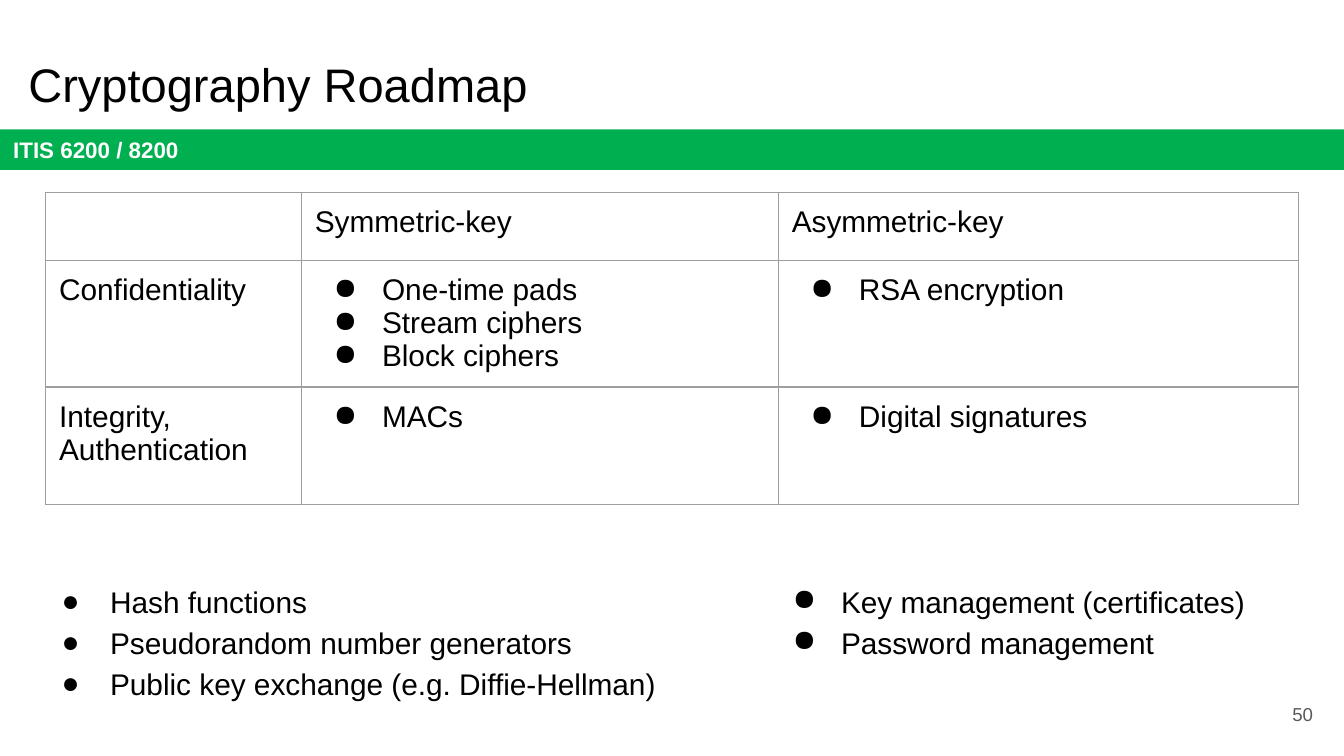
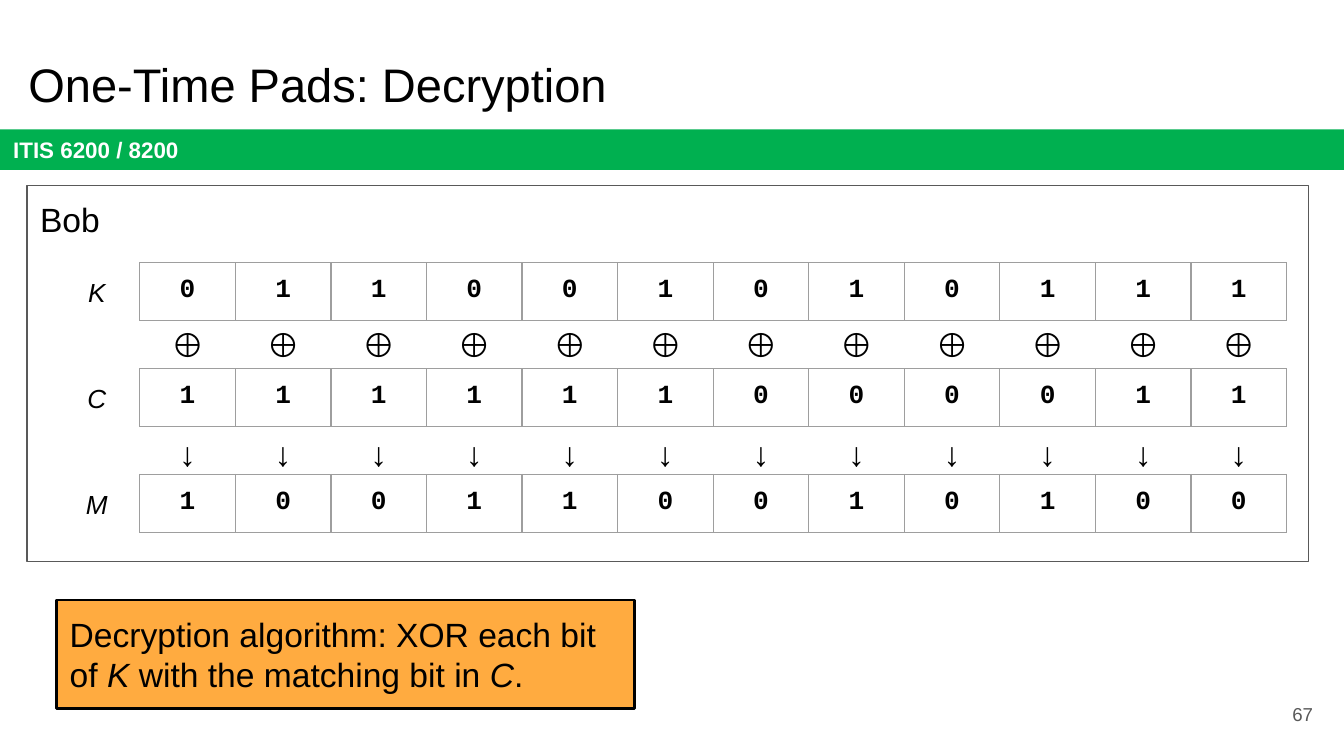
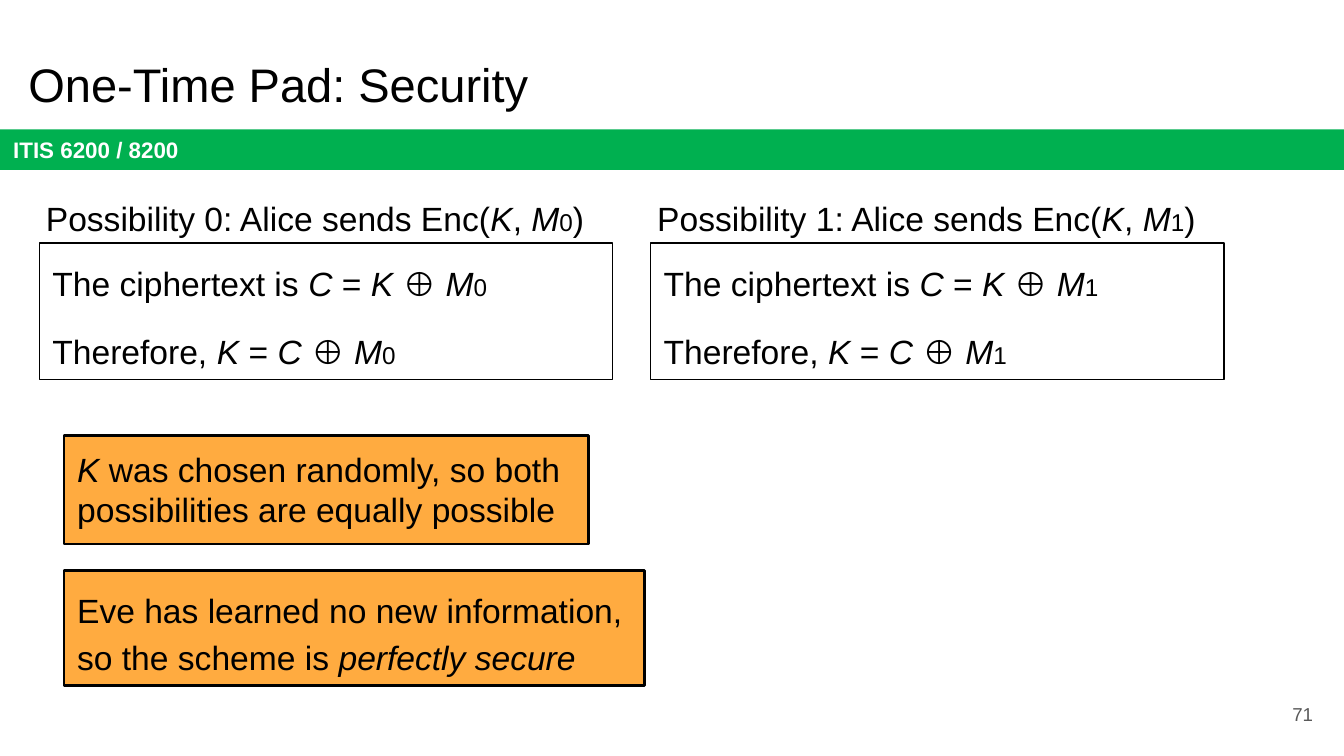
import dataclasses
import lxml.etree
import pptx
import pptx.dml.color
import pptx.enum.shapes
import pptx.enum.text
import pptx.oxml.ns
import pptx.util

Pt = pptx.util.Pt
qn = pptx.oxml.ns.qn
ALIGN = pptx.enum.text.PP_ALIGN
ANCHOR = pptx.enum.text.MSO_ANCHOR
RECT = pptx.enum.shapes.MSO_SHAPE.RECTANGLE
PLAIN_GRID = "{2D5ABB26-0587-4C30-8999-92F81FD0307C}"


@dataclasses.dataclass(frozen=True)
class Theme:
    ink: str = "000000"
    paper: str = "FFFFFF"
    band: str = "00B050"
    note: str = "FFAB40"
    rule: str = "9E9E9E"
    gray: str = "595959"
    sans: str = "Arial"
    mono: str = "Courier New"
    title: float = 25.2
    large: float = 18
    list: float = 16
    bit: float = 14
    sub: float = 13
    head: float = 12
    page: float = 10
    inset: float = 7.2
    loose: float = 1.15


T = Theme()


def rgb(code):
    return pptx.dml.color.RGBColor.from_string(code)


# Text
def add_bullet(para):
    props = para._p.get_or_add_pPr()
    props.set("marL", str(Pt(36)))
    props.set("indent", str(Pt(-26)))
    color = lxml.etree.SubElement(props, qn("a:buClr"))
    lxml.etree.SubElement(color, qn("a:srgbClr"), val=T.ink)
    lxml.etree.SubElement(props, qn("a:buChar"), char="●")


def add_runs(para, text):
    """Parts are split by |; a leading / is italic, a leading _ is small."""
    if "|" not in text:
        para.text = text
        return
    for part in text.split("|"):
        run = para.add_run()
        run.text = part.lstrip("/_")
        if part.startswith("/"):
            run.font.italic = True
        elif part.startswith("_"):
            run.font.size = Pt(T.sub)


def write(frame, lines, size, color=T.ink, font=T.sans, bold=False, italic=False,
          align=ALIGN.LEFT, space=1.0, gap=0, bullet=False):
    for i, line in enumerate(lines):
        para = frame.paragraphs[0] if i == 0 else frame.add_paragraph()
        add_runs(para, line)
        para.alignment = align
        para.line_spacing = space
        para.space_before = Pt(gap if i else 0)
        if bullet:
            add_bullet(para)
        para.font.size = Pt(size)
        para.font.name = font
        para.font.bold = bold
        para.font.italic = italic
        para.font.color.rgb = rgb(color)


def set_frame(frame, anchor=ANCHOR.TOP):
    frame.word_wrap = True
    frame.auto_size = pptx.enum.text.MSO_AUTO_SIZE.NONE
    frame.vertical_anchor = anchor
    frame.margin_left = frame.margin_right = Pt(T.inset)
    frame.margin_top = frame.margin_bottom = Pt(T.inset)


# Shapes
def add_text(slide, box, lines, size, anchor=ANCHOR.TOP, **style):
    shape = slide.shapes.add_textbox(*map(Pt, box))
    set_frame(shape.text_frame, anchor)
    write(shape.text_frame, lines, size, **style)


def add_rect(slide, box, fill=None, line=None, width=0.75):
    shape = slide.shapes.add_shape(RECT, *map(Pt, box))
    shape.shadow.inherit = False
    if fill:
        shape.fill.solid()
        shape.fill.fore_color.rgb = rgb(fill)
    else:
        shape.fill.background()
    if line:
        shape.line.color.rgb = rgb(line)
        shape.line.width = Pt(width)
    else:
        shape.line.fill.background()
    set_frame(shape.text_frame)
    return shape


def add_note(slide, box, text, space=1.0):
    shape = add_rect(slide, box, T.note, T.ink, 1.5)
    write(shape.text_frame, [text], T.large, space=space)


def fill_holder(holder, box, lines, size, anchor=ANCHOR.TOP, **style):
    holder.left, holder.top, holder.width, holder.height = map(Pt, box)
    set_frame(holder.text_frame, anchor)
    write(holder.text_frame, lines, size, **style)


# Tables
def rule_cell(cell):
    props = cell._tc.get_or_add_tcPr()
    for i, side in enumerate(("a:lnL", "a:lnR", "a:lnT", "a:lnB")):
        line = lxml.etree.Element(qn(side), w=str(Pt(0.75)))
        fill = lxml.etree.SubElement(line, qn("a:solidFill"))
        lxml.etree.SubElement(fill, qn("a:srgbClr"), val=T.rule)
        props.insert(i, line)


def add_grid(slide, left, top, cols, rows, cells, ruled=True):
    """Cells hold lists of lines with a style for each."""
    box = (left, top, sum(cols), sum(rows))
    frame = slide.shapes.add_table(len(rows), len(cols), *map(Pt, box))
    for tag in frame._element.iter(qn("a:tableStyleId")):
        tag.text = PLAIN_GRID
    table = frame.table
    table.first_row = table.horz_banding = False
    for col, width in zip(table.columns, cols):
        col.width = Pt(width)
    for row, height, items in zip(table.rows, rows, cells):
        row.height = Pt(height)
        for cell, (lines, style) in zip(row.cells, items):
            cell.fill.background()
            cell.margin_left = cell.margin_right = Pt(T.inset)
            cell.margin_top = cell.margin_bottom = Pt(T.inset)
            write(cell.text_frame, lines, **style)
            if ruled:
                rule_cell(cell)


# Shared title, band and page number
def start_slide(deck, layout, title, page):
    slide = deck.slides.add_slide(deck.slide_layouts[layout])
    band = add_rect(slide, (0, 69.25, 720, 21.75), T.band)
    band.text_frame.vertical_anchor = ANCHOR.MIDDLE
    write(band.text_frame, ["ITIS 6200 / 8200"], T.head, color=T.paper, bold=True)
    fill_holder(slide.shapes.title, (8, 21.5, 671, 45.5), [title], T.title,
                ANCHOR.BOTTOM)
    add_text(slide, (667.25, 367.25, 43.25, 31), [str(page)], T.page,
             ANCHOR.MIDDLE, color=T.gray, align=ALIGN.RIGHT)
    return slide


# Roadmap slide
def add_roadmap(slide, left, top):
    rows = [
        ([], ["Symmetric-key"], ["Asymmetric-key"]),
        (["Confidentiality"], ["One-time pads", "Stream ciphers", "Block ciphers"],
         ["RSA encryption"]),
        (["Integrity,\vAuthentication"], ["MACs"], ["Digital signatures"]),
    ]
    cells = [[(lines, dict(size=T.list, bullet=r > 0 and c > 0))
              for c, lines in enumerate(row)] for r, row in enumerate(rows)]
    add_grid(slide, left, top, (137, 255.5, 278.75), (32, 68, 63), cells)


def make_roadmap(deck):
    slide = start_slide(deck, 1, "Cryptography Roadmap", 50)
    add_roadmap(slide, 24.5, 103)
    style = dict(size=T.list, space=T.loose, bullet=True)
    fill_holder(slide.placeholders[1], (15.75, 302.5, 344.25, 92),
                ["Hash functions", "Pseudorandom number generators",
                 "Public key exchange (e.g. Diffie-Hellman)"], **style)
    add_text(slide, (407.5, 302.5, 271.5, 56),
             ["Key management (certificates)", "Password management"], **style)


# Decryption slide
def add_bits(slide, box):
    left, top, width, height = box
    add_rect(slide, box, line=T.gray)
    add_text(slide, (left, top, 60.5, 36), ["Bob"], T.large)
    cols = [51.2] * 12
    bit = dict(size=T.bit, font=T.mono, bold=True, align=ALIGN.CENTER)
    sign = dict(size=T.large, space=T.loose, align=ALIGN.CENTER)
    rows = (("K", "011001010111"), ("C", "111111000011"), ("M", "100110010100"))
    for i, (name, bits) in enumerate(rows):
        y = top + 41.25 + 56.75 * i
        add_grid(slide, left + 60.5, y, cols, [31], [[([b], bit) for b in bits]])
        add_text(slide, (left + 16, y, 43, 31.5), [name], T.bit, italic=True,
                 align=ALIGN.CENTER)
    for mark, drop in (("⊕", 65.5), ("↓", 124)):
        add_grid(slide, left + 60.5, top + drop, cols, [38],
                 [[([mark], sign)] * len(cols)], ruled=False)


def make_decrypt(deck):
    slide = start_slide(deck, 5, "One-Time Pads: Decryption", 67)
    add_bits(slide, (14.4, 99.5, 686.5, 201.5))
    add_note(slide, (30.25, 321.5, 309.75, 58),
             "Decryption algorithm: XOR each bit of |/K| with the matching bit in |/C|.")


# Security slide
def add_case(slide, box, n):
    left, top, width, height = box
    add_text(slide, (left - 3.5, top - 31.5, width + 8, 36),
             [f"Possibility {n}: Alice sends Enc(|/K|, |/M|_{n}|)"], T.large)
    shape = add_rect(slide, box, line=T.ink)
    write(shape.text_frame,
          [f"The ciphertext is |/C| = |/K| ⊕ |/M|_{n}",
           f"Therefore, |/K| = |/C| ⊕ |/M|_{n}"],
          T.large, space=T.loose, gap=12)


def make_secure(deck):
    slide = start_slide(deck, 5, "One-Time Pad: Security", 71)
    for n in range(2):
        add_case(slide, (21 + 327.5 * n, 130.25, 307.25, 73.25), n)
    add_note(slide, (34.25, 233.25, 281, 58.25),
             "/K| was chosen randomly, so both possibilities are equally possible")
    add_note(slide, (34.25, 305.75, 311, 61.5),
             "Eve has learned no new information, so the scheme is |/perfectly secure",
             T.loose)


def main():
    deck = pptx.Presentation()
    deck.slide_width, deck.slide_height = Pt(720), Pt(405)
    make_roadmap(deck)
    make_decrypt(deck)
    make_secure(deck)
    deck.save("out.pptx")


if __name__ == "__main__":
    main()
